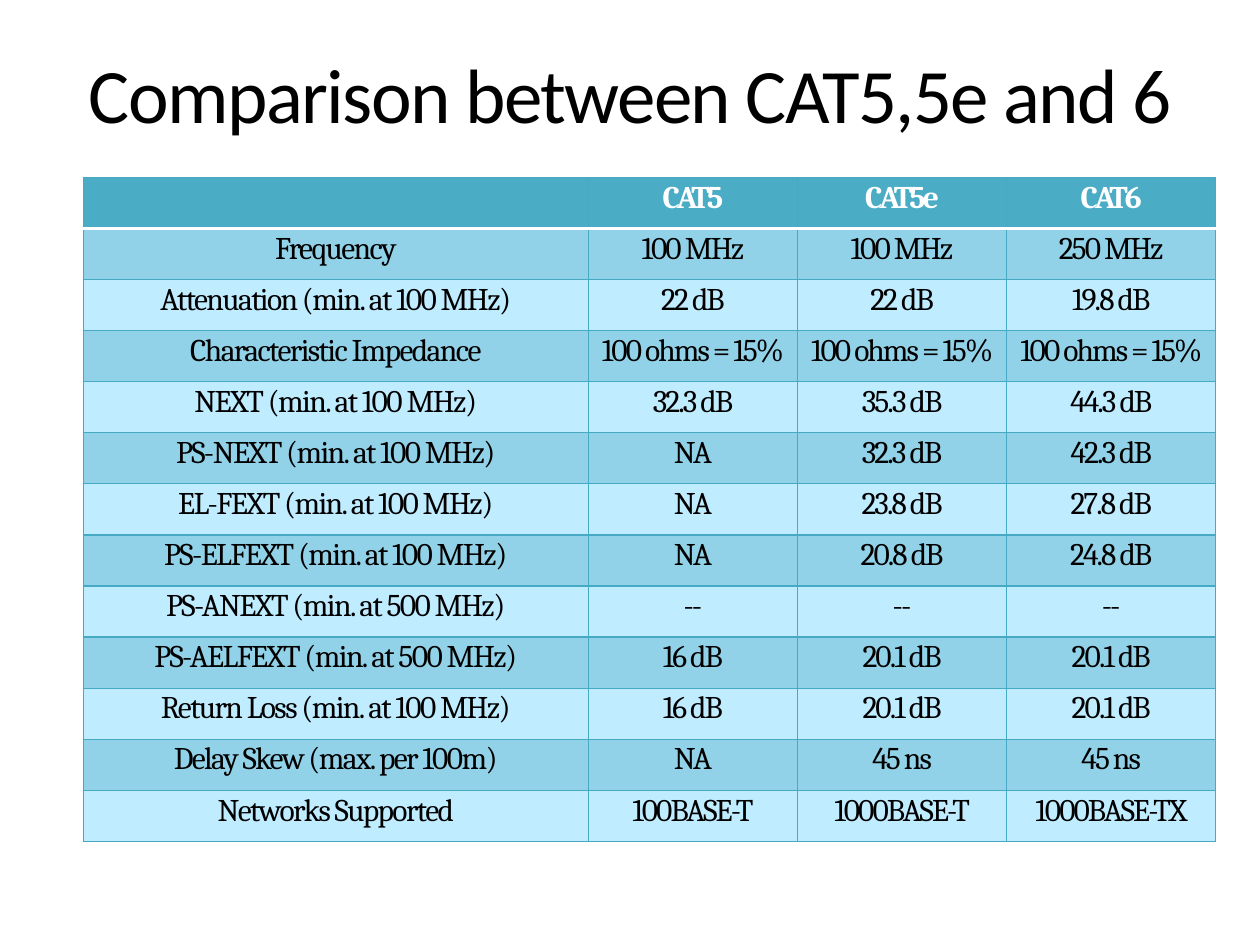
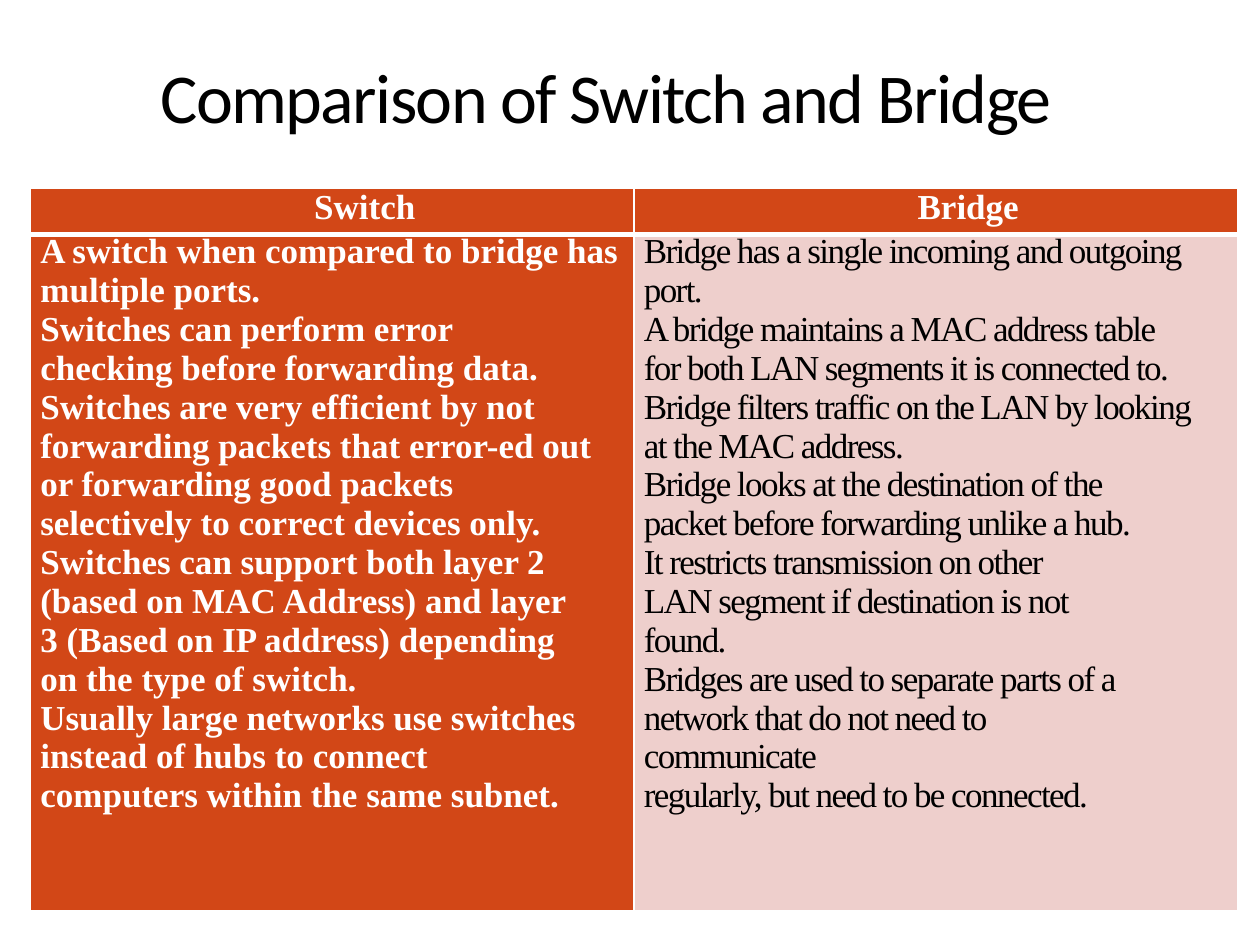
from lxml.etree import SubElement
from pptx import Presentation
from pptx.dml.color import RGBColor
from pptx.enum.text import MSO_ANCHOR, PP_ALIGN
from pptx.oxml.ns import qn
from pptx.util import Inches, Pt

BLACK = RGBColor(0x00, 0x00, 0x00)
WHITE = RGBColor(0xFF, 0xFF, 0xFF)
TEAL = RGBColor(0x4B, 0xAC, 0xC6)
EDGE = RGBColor(0x46, 0xAA, 0xC5)
BAND = RGBColor(0x91, 0xD2, 0xE8)
PALE = RGBColor(0xBF, 0xEC, 0xFF)
RUST = RGBColor(0xD2, 0x47, 0x17)
PINK = RGBColor(0xEE, 0xCF, 0xCC)

PLAIN = 0
SNUG = -0.9
TIGHT = -1.1
DENSE = -1.7

TITLES = [
    ("Comparison between CAT5,5e and 6", 44, (0, 0.35, 10, 0.75)),
    ("Comparison of Switch and Bridge", 40, (0.92, 0.4, 7.78, 0.69)),
]

CABLES = [
    ("", "CAT5", "CAT5e", "CAT6"),
    ("Frequency", "100 MHz", "100 MHz", "250 MHz"),
    ("Attenuation (min. at 100 MHz)", "22 dB", "22 dB", "19.8 dB"),
    ("Characteristic Impedance",) + ("100 ohms = 15%",) * 3,
    ("NEXT (min. at 100 MHz)", "32.3 dB", "35.3 dB", "44.3 dB"),
    ("PS-NEXT (min. at 100 MHz)", "NA", "32.3 dB", "42.3 dB"),
    ("EL-FEXT (min. at 100 MHz)", "NA", "23.8 dB", "27.8 dB"),
    ("PS-ELFEXT (min. at 100 MHz)", "NA", "20.8 dB", "24.8 dB"),
    ("PS-ANEXT (min. at 500 MHz)", "--", "--", "--"),
    ("PS-AELFEXT (min. at 500 MHz)", "16 dB", "20.1 dB", "20.1 dB"),
    ("Return Loss (min. at 100 MHz)", "16 dB", "20.1 dB", "20.1 dB"),
    ("Delay Skew (max. per 100m)", "NA", "45 ns", "45 ns"),
    ("Networks Supported", "100BASE-T", "1000BASE-T", "1000BASE-TX"),
]

SWITCH = [
    ("A switch when compared to bridge has", 0),
    ("multiple ports.", 0),
    ("Switches can perform error checking before forwarding data.", 0.5),
    ("Switches are very efficient by not forwarding packets that error-ed out "
     "or forwarding good packets selectively to correct devices only.", 0.27),
    ("Switches can support both layer 2 (based on MAC Address) and layer 3 "
     "(Based on IP address) depending on the type of switch.", 0.4),
    ("Usually large networks use switches instead of hubs to connect "
     "computers within the same subnet.", 0.4),
]
BRIDGE = [
    ("Bridge has a single incoming and outgoing", 0),
    ("port.", 0),
    ("A bridge maintains a MAC address table for both LAN segments it is "
     "connected to.", 0.33),
    ("Bridge filters traffic on the LAN by looking at the MAC address.", 0.17),
    ("Bridge looks at the destination of the packet before forwarding unlike "
     "a hub.", 0.65),
    ("It restricts transmission on other LAN segment if destination is not "
     "found.", 1.15),
    ("Bridges are used to separate parts of a network that do not need to "
     "communicate", 0.7),
    ("regularly, but need to be connected.", 0),
]
SIDES = [
    ("Switch", SWITCH, RUST, WHITE, True, PLAIN),
    ("Bridge", BRIDGE, PINK, BLACK, False, SNUG),
]


def write(para, text, face, size, ink, bold=False, track=PLAIN, center=True):
    para.alignment = PP_ALIGN.CENTER if center else PP_ALIGN.LEFT
    para.font.name, para.font.size = face, Pt(size)
    para.font.color.rgb, para.font.bold = ink, bold
    if text:
        run = para.add_run()
        run.text = text
        run._r.get_or_add_rPr().set("spc", str(round(track * 100)))


def dress(cell, fill, left, top, rest, **sides):
    cell.margin_left, cell.margin_top = Inches(left), Inches(top)
    cell.margin_right = cell.margin_bottom = 0
    props = cell._tc.get_or_add_tcPr()
    for side in "LRTB":
        ink, width = sides.get(side, rest)
        line = SubElement(props, qn(f"a:ln{side}"), w=str(Pt(width)))
        SubElement(SubElement(line, qn("a:solidFill")), qn("a:srgbClr"), val=str(ink))
    cell.fill.solid()
    cell.fill.fore_color.rgb = fill


deck = Presentation()
deck.slide_width, deck.slide_height = Inches(10), Inches(7.5)
slides = []
for title, size, place in TITLES:
    slide = deck.slides.add_slide(deck.slide_layouts[6])
    frame = slide.shapes.add_textbox(*map(Inches, place)).text_frame
    frame.word_wrap = True
    frame.vertical_anchor = MSO_ANCHOR.MIDDLE
    frame.margin_left = frame.margin_right = frame.margin_bottom = 0
    frame.margin_top = Inches(0.02)
    write(frame.paragraphs[0], title, "Calibri", size, BLACK, track=SNUG)
    slides.append(slide)

grid = slides[0].shapes.add_table(
    len(CABLES), 4, Inches(0.66), Inches(1.41), Inches(9), Inches(5.27)).table
grid.first_row = grid.horz_banding = False
for col, width in zip(grid.columns, (4.01, 1.66, 1.66, 1.66)):
    col.width = Inches(width)
for row, texts in enumerate(CABLES):
    head = row == 0
    fill = TEAL if head else BAND if row % 2 else PALE
    ink = WHITE if head else BLACK
    rules = {"B": (WHITE, 2)} if head else {"T": (WHITE, 2)} if row == 1 else {}
    for col, text in enumerate(texts):
        track = DENSE if head else TIGHT if col else SNUG
        cell = grid.cell(row, col)
        dress(cell, fill, 0, 0.02, (EDGE, 0.75), **rules)
        write(cell.text_frame.paragraphs[0], text, "Cambria", 18, ink, head, track)

grid = slides[1].shapes.add_table(
    2, 2, Inches(0.24), Inches(1.49), Inches(9.58), Inches(5.74)).table
grid.first_row = grid.horz_banding = False
grid.rows[0].height, grid.rows[1].height = Inches(0.37), Inches(5.37)
for col, (name, body, fill, ink, bold, track) in enumerate(SIDES):
    top, main = grid.cell(0, col), grid.cell(1, col)
    dress(top, RUST, 0.52, 0, (WHITE, 1), B=(WHITE, 3))
    write(top.text_frame.paragraphs[0], name, "Times New Roman", 20, WHITE, True)
    dress(main, fill, 0.08, 0, (WHITE, 1), T=(WHITE, 3))
    frame = main.text_frame
    for num, (text, inset) in enumerate(body):
        para = frame.add_paragraph() if num else frame.paragraphs[0]
        para._p.get_or_add_pPr().set("marR", str(Inches(inset)))
        write(para, text, "Times New Roman", 20, ink, bold, track, center=False)
    frame.paragraphs[0].line_spacing = Pt(21.2)

deck.save("out.pptx")
